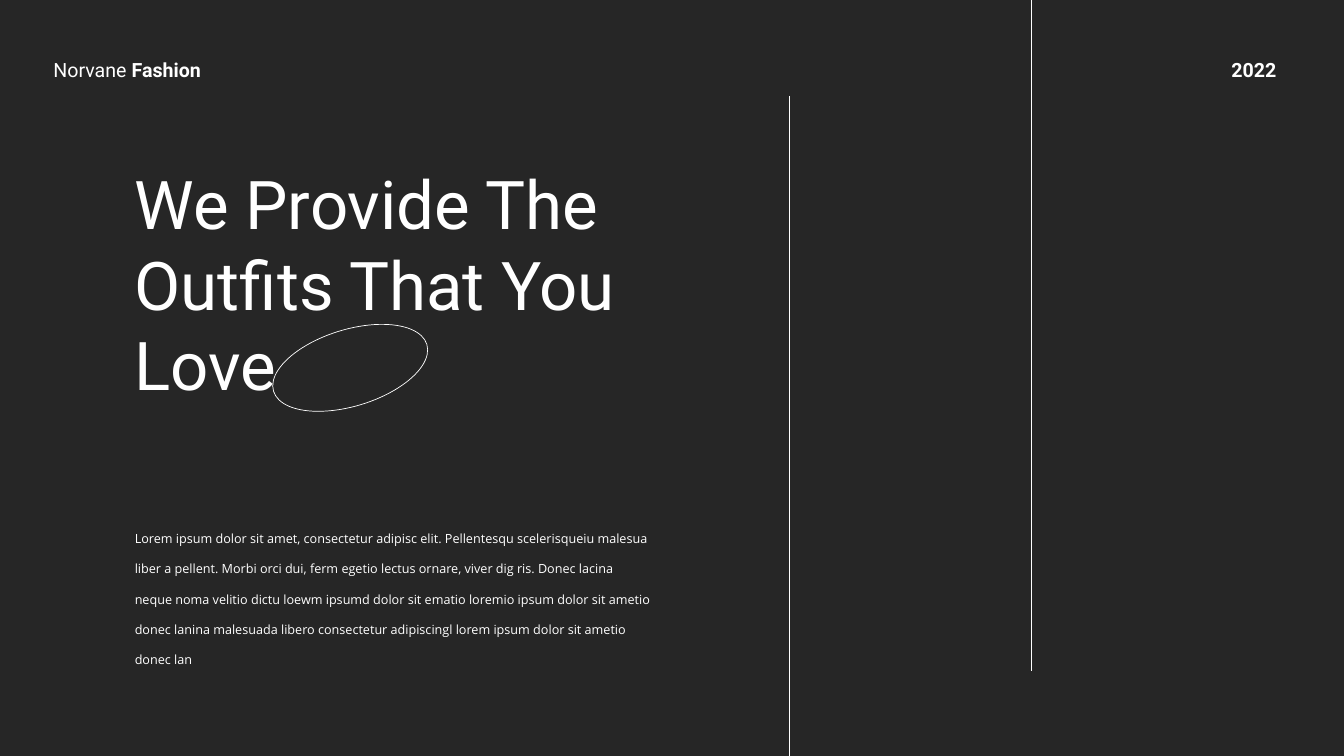
from dataclasses import dataclass

from lxml.etree import SubElement
from pptx import Presentation
from pptx.dml.color import RGBColor
from pptx.enum.shapes import MSO_CONNECTOR, MSO_SHAPE
from pptx.enum.text import MSO_AUTO_SIZE
from pptx.oxml.ns import qn
from pptx.util import Pt


@dataclass(frozen=True)
class Theme:
    """Colours, fonts, type sizes and line weight of the slide."""
    background: RGBColor = RGBColor(0x26, 0x26, 0x26)
    foreground: RGBColor = RGBColor(0xFF, 0xFF, 0xFF)
    heading_font: str = "Roboto"
    body_font: str = "Open Sans"
    label_size: float = 14
    title_size: float = 48
    body_size: float = 9
    line_weight: float = 0.5


THEME = Theme()
WIDTH, HEIGHT = 960, 540
TITLE = "We Provide The Outfits That You Love"
BODY = (
    "Lorem ipsum dolor sit amet, consectetur adipisc elit. Pellentesqu scelerisqueiu malesua "
    "liber a pellent. Morbi orci dui, ferm egetio lectus ornare, viver dig ris. Donec lacina "
    "neque noma velitio dictu loewm ipsumd dolor sit ematio loremio ipsum dolor sit ametio "
    "donec lanina malesuada libero consectetur adipiscingl lorem ipsum dolor sit ametio donec lan"
)


def add_text(slide, box, *runs, size, font=THEME.heading_font, wrap=True, line_spacing=None):
    """Add a text box whose runs are pairs of text and boldness."""
    shape = slide.shapes.add_textbox(*map(Pt, box))
    frame = shape.text_frame
    frame.word_wrap = wrap
    frame.auto_size = MSO_AUTO_SIZE.SHAPE_TO_FIT_TEXT
    paragraph = frame.paragraphs[0]
    paragraph.line_spacing = line_spacing
    for text, bold in runs:
        run = paragraph.add_run()
        run.text = text
        run.font.name = font
        run.font.size = Pt(size)
        run.font.bold = bold
        run.font.color.rgb = THEME.foreground


def style_line(line):
    """Give a line the thin foreground stroke."""
    line.color.rgb = THEME.foreground
    line.width = Pt(THEME.line_weight)


def add_header(slide, left, top, width, height):
    """Place the brand at the left and the year at the right of the box."""
    year_width = 49
    add_text(slide, (left, top, 131.5, height), ("Norvane ", False), ("Fashion", True),
             size=THEME.label_size, wrap=False)
    add_text(slide, (left + width - year_width, top, year_width, height), ("2022", True),
             size=THEME.label_size, wrap=False)


def add_rules(slide, left, top, width, height):
    """Place two vertical rules, one reaching the bottom and one the top of the box."""
    for x, start, end in ((left, top + 68.5, top + height), (left + width, top, top + 479.5)):
        rule = slide.shapes.add_connector(MSO_CONNECTOR.STRAIGHT, Pt(x), Pt(start), Pt(x), Pt(end))
        style_line(rule.line)
        SubElement(rule.element.spPr, qn("a:effectLst"))


def add_message(slide, left, top, width, height):
    """Place the title, the body text and the tilted ellipse in the box."""
    body_height = 91.5
    add_text(slide, (left, top, 373, 181.5), (TITLE, False), size=THEME.title_size)
    add_text(slide, (left, top + height - body_height, width, body_height), (BODY, False),
             size=THEME.body_size, font=THEME.body_font, line_spacing=2.0)
    ellipse = slide.shapes.add_shape(
        MSO_SHAPE.OVAL, Pt(left + 103.7), Pt(top + 123), Pt(114.5), Pt(54.7))
    ellipse.rotation = 343
    ellipse.shadow.inherit = False
    ellipse.fill.background()
    style_line(ellipse.line)


def main():
    """Build the slide and save it."""
    presentation = Presentation()
    presentation.slide_width, presentation.slide_height = Pt(WIDTH), Pt(HEIGHT)
    slide = presentation.slides.add_slide(presentation.slide_layouts[6])
    slide.background.fill.solid()
    slide.background.fill.fore_color.rgb = THEME.background
    add_header(slide, 31, 38, 890.5, 24.5)
    add_rules(slide, 563.8, 0, 172.8, HEIGHT)
    add_message(slide, 89.2, 112.4, 383.8, 344)
    presentation.save("out.pptx")


if __name__ == "__main__":
    main()
